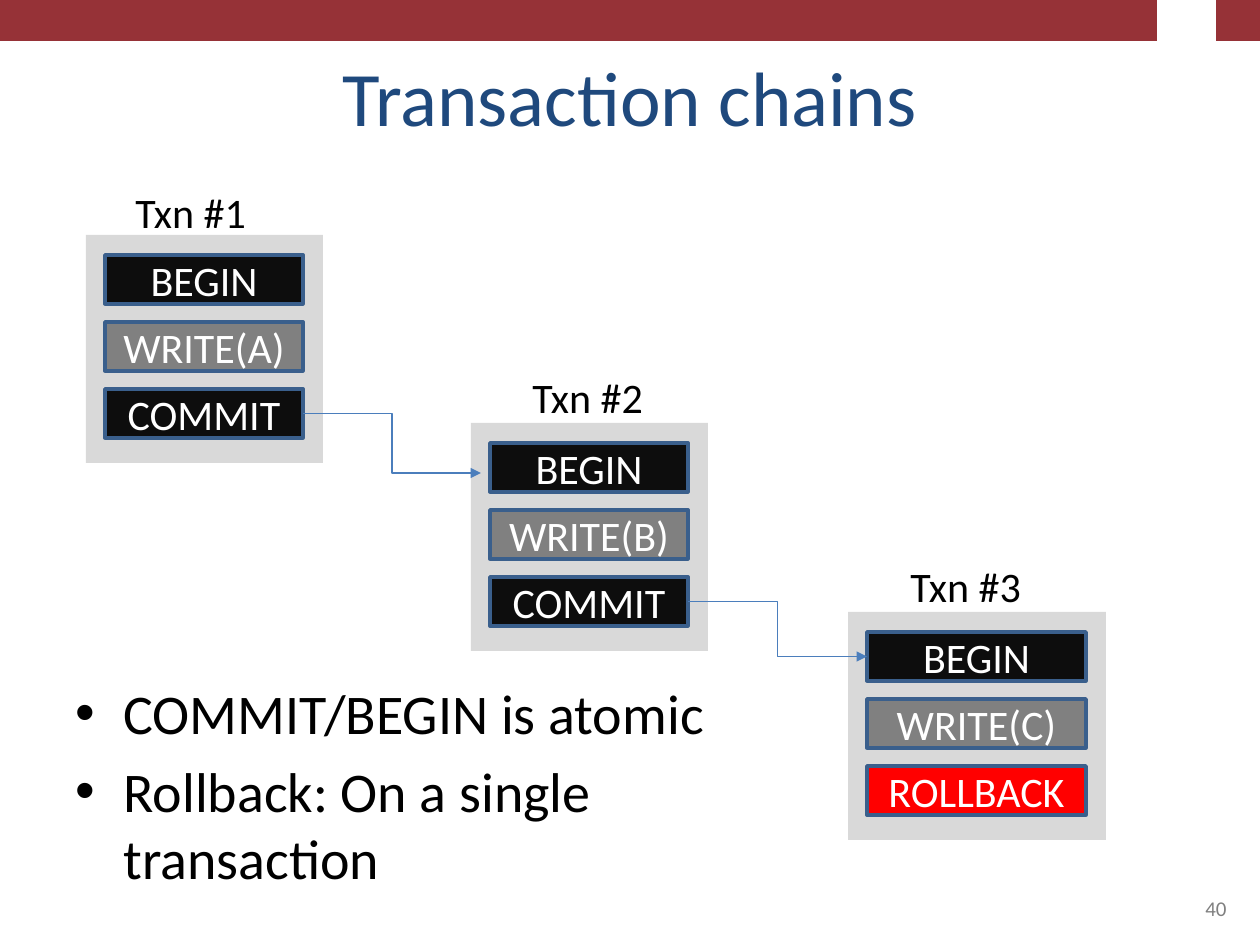
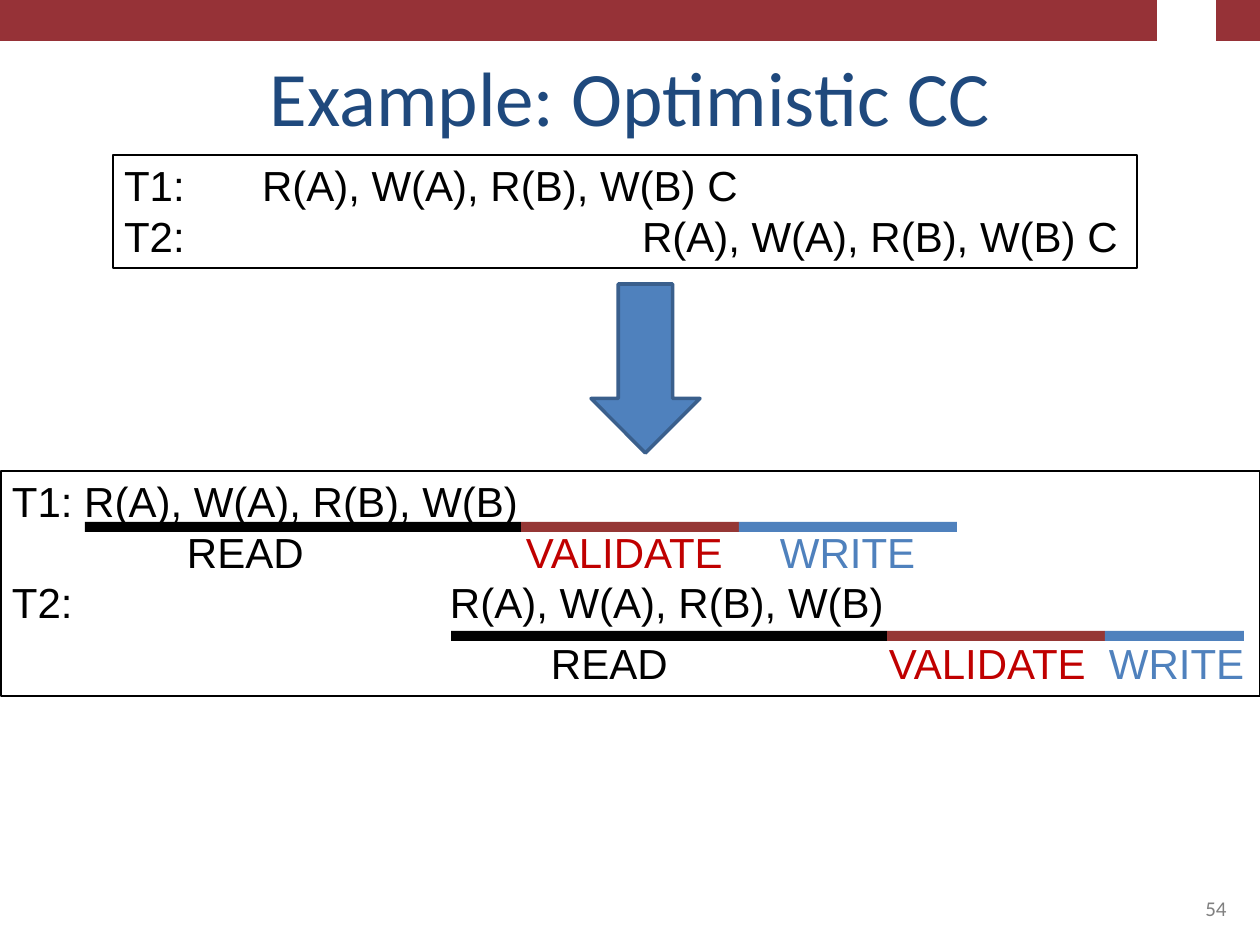
from lxml import etree
from pptx import Presentation
from pptx import util as u
from pptx.dml.color import RGBColor
from pptx.enum import shapes, text
from pptx.oxml import ns

SCALE = 914400 / 126
BLACK = RGBColor(0x00, 0x00, 0x00)
WHITE = RGBColor(0xFF, 0xFF, 0xFF)
BAND_RED = RGBColor(0x96, 0x32, 0x37)
TITLE_BLUE = RGBColor(0x1F, 0x49, 0x7D)
PAGE_GREY = RGBColor(0x80, 0x80, 0x80)
FRAME_GREY = RGBColor(0xD9, 0xD9, 0xD9)
NEAR_BLACK = RGBColor(0x0D, 0x0D, 0x0D)
ROLLBACK_RED = RGBColor(0xFF, 0x00, 0x00)
OUTLINE_BLUE = RGBColor(0x3A, 0x5F, 0x8C)
ARROW_BLUE = RGBColor(0x4B, 0x7E, 0xBC)
WRITE_BLUE = RGBColor(0x4F, 0x81, 0xBD)
VALIDATE_RED = RGBColor(0xC0, 0x00, 0x00)
BAR_RED = RGBColor(0x95, 0x37, 0x35)

RECTANGLE = shapes.MSO_SHAPE.RECTANGLE
LEFT, CENTER, RIGHT = text.PP_ALIGN.LEFT, text.PP_ALIGN.CENTER, text.PP_ALIGN.RIGHT
TOP, MIDDLE, BOTTOM = (text.MSO_ANCHOR.TOP, text.MSO_ANCHOR.MIDDLE,
                       text.MSO_ANCHOR.BOTTOM)


def emu(px):
    return u.Emu(round(px * SCALE))


def add_xml(parent, tag, **attributes):
    return etree.SubElement(parent, ns.qn(tag), attributes)


class Deck:
    def __init__(self):
        self.presentation = Presentation()
        self.presentation.slide_width = emu(1260)
        self.presentation.slide_height = emu(945)
        self.slide = None

    def new_slide(self, title, number):
        self.slide = self.presentation.slides.add_slide(
            self.presentation.slide_layouts[6])
        self.shape(0, 0, 1260, 41, BAND_RED)
        self.shape(1157, 0, 59, 41, WHITE)
        self.text(63, 38, 1134, 110, title, 44, TITLE_BLUE, CENTER, BOTTOM)
        self.text(903, 861, 336, 66, number, 12, PAGE_GREY, RIGHT, BOTTOM)

    def shape(self, left, top, width, height, fill=None, line=None,
              weight=2, kind=RECTANGLE):
        shape = self.slide.shapes.add_shape(
            kind, emu(left), emu(top), emu(width), emu(height))
        shape.shadow.inherit = False
        if fill is None:
            shape.fill.background()
        else:
            shape.fill.solid()
            shape.fill.fore_color.rgb = fill
        if line is None:
            shape.line.fill.background()
        else:
            shape.line.color.rgb = line
            shape.line.width = u.Pt(weight)
        return shape

    def style(self, paragraph, size, color, font="Calibri", align=LEFT):
        paragraph.alignment = align
        for run in paragraph.runs:
            run.font.size = u.Pt(size)
            run.font.name = font
            run.font.color.rgb = color

    def text(self, left, top, width, height, words, size, color=BLACK,
             align=LEFT, anchor=TOP):
        box = self.slide.shapes.add_textbox(
            emu(left), emu(top), emu(width), emu(height))
        frame = box.text_frame
        frame.word_wrap = True
        frame.vertical_anchor = anchor
        frame.text = words
        for paragraph in frame.paragraphs:
            self.style(paragraph, size, color, align=align)
        return box

    def bullets(self, left, top, width, height, items, size):
        box = self.text(left, top, width, height, "\n".join(items), size)
        for index, paragraph in enumerate(box.text_frame.paragraphs):
            if index:
                paragraph.space_before = u.Pt(size * 0.2)
            properties = paragraph._p.get_or_add_pPr()
            properties.set("marL", str(emu(48)))
            properties.set("indent", str(-emu(48)))
            add_xml(properties, "a:buFont", typeface="Arial")
            add_xml(properties, "a:buChar", char="•")

    def step(self, left, top, width, words, fill):
        step = self.shape(left, top, width, 49, fill, OUTLINE_BLUE)
        frame = step.text_frame
        frame.vertical_anchor = MIDDLE
        frame.text = words
        self.style(frame.paragraphs[0], 24, WHITE, align=CENTER)
        return step

    def transaction(self, left, top, width, label, label_at, steps):
        self.shape(left, top, width, 228, FRAME_GREY)
        self.text(*label_at, 137, 63, label, 24)
        return [self.step(left + 19, top + 20 + 67 * row, width - 39, *step)
                for row, step in enumerate(steps)]

    def elbow(self, start, target=None, end=(0, 0)):
        connector = self.slide.shapes.add_connector(
            shapes.MSO_CONNECTOR.ELBOW, 0, 0, emu(end[0]), emu(end[1]))
        connector.begin_connect(start, 3)
        if target is not None:
            connector.end_connect(target, 1)
        connector.line.color.rgb = ARROW_BLUE
        connector.line.width = u.Pt(0.75)
        add_xml(connector.line._get_or_add_ln(), "a:tailEnd", type="triangle")
        add_xml(connector._element.spPr, "a:effectLst")

    def schedule(self, left, top, width, height, lines):
        box = self.shape(left, top, width, height, None, BLACK, 1)
        frame = box.text_frame
        frame.vertical_anchor = TOP
        frame.margin_left = emu(11)
        frame.margin_right = 0
        frame.margin_top = frame.margin_bottom = emu(5)
        for index, (tabs, parts) in enumerate(lines):
            paragraph = frame.add_paragraph() if index else frame.paragraphs[0]
            if tabs:
                tab_list = add_xml(paragraph._p.get_or_add_pPr(), "a:tabLst")
                for tab in tabs:
                    add_xml(tab_list, "a:tab", pos=str(emu(tab)), algn="l")
            for words, color in parts:
                paragraph.add_run().text = words
            self.style(paragraph, 24, BLACK, "Arial")
            for run, (words, color) in zip(paragraph.runs, parts):
                run.font.color.rgb = color
        return frame

    def phase_bars(self, left, top, widths):
        for width, color in zip(widths, (BLACK, BAR_RED, WRITE_BLUE)):
            self.shape(left, top, width, 10, color)
            left += width


def transaction_chains(deck):
    deck.new_slide("Transaction chains", "40")
    begin, commit = ("BEGIN", NEAR_BLACK), ("COMMIT", NEAR_BLACK)
    rollback = ("ROLLBACK", ROLLBACK_RED)
    chain = [
        deck.transaction(left, top, width, f"Txn #{number}", label_at,
                         [begin, (f"WRITE({item})", PAGE_GREY), last])
        for number, item, left, top, width, label_at, last in (
            (1, "A", 86, 235, 237, (123, 180), commit),
            (2, "B", 471, 423, 237, (520, 365), commit),
            (3, "C", 848, 612, 258, (898, 554), rollback))]
    deck.elbow(chain[0][-1], end=(481, 473))
    deck.elbow(chain[1][-1], chain[2][0])
    deck.bullets(63, 672, 765, 239, [
        "COMMIT/BEGIN is atomic",
        "Rollback: On a single transaction"], 32)


def optimistic_example(deck):
    deck.new_slide("Example: Optimistic CC", "54")
    operations = "R(A), W(A), R(B), W(B)"
    phases = [("\tREAD", BLACK), ("\tVALIDATE", VALIDATE_RED),
              ("\tWRITE", WRITE_BLUE)]
    deck.schedule(113, 155, 1024, 113, [
        ([138], [(f"T1:\t{operations} C", BLACK)]),
        ([518], [(f"T2:\t{operations} C", BLACK)])])
    deck.shape(591, 284, 109, 169, WRITE_BLUE, OUTLINE_BLUE,
               kind=shapes.MSO_SHAPE.DOWN_ARROW)
    frame = deck.schedule(1, 471, 1259, 225, [
        ([], [(f"T1: {operations}", BLACK)]),
        ([175, 514, 768], phases),
        ([438], [(f"T2:\t{operations}", BLACK)]),
        ([539, 877, 1097], phases)])
    frame.paragraphs[-1].space_before = u.Pt(6)
    deck.phase_bars(85, 522, (436, 218, 218))
    deck.phase_bars(451, 631, (436, 218, 139))


def main():
    deck = Deck()
    transaction_chains(deck)
    optimistic_example(deck)
    deck.presentation.save("out.pptx")


if __name__ == "__main__":
    main()
